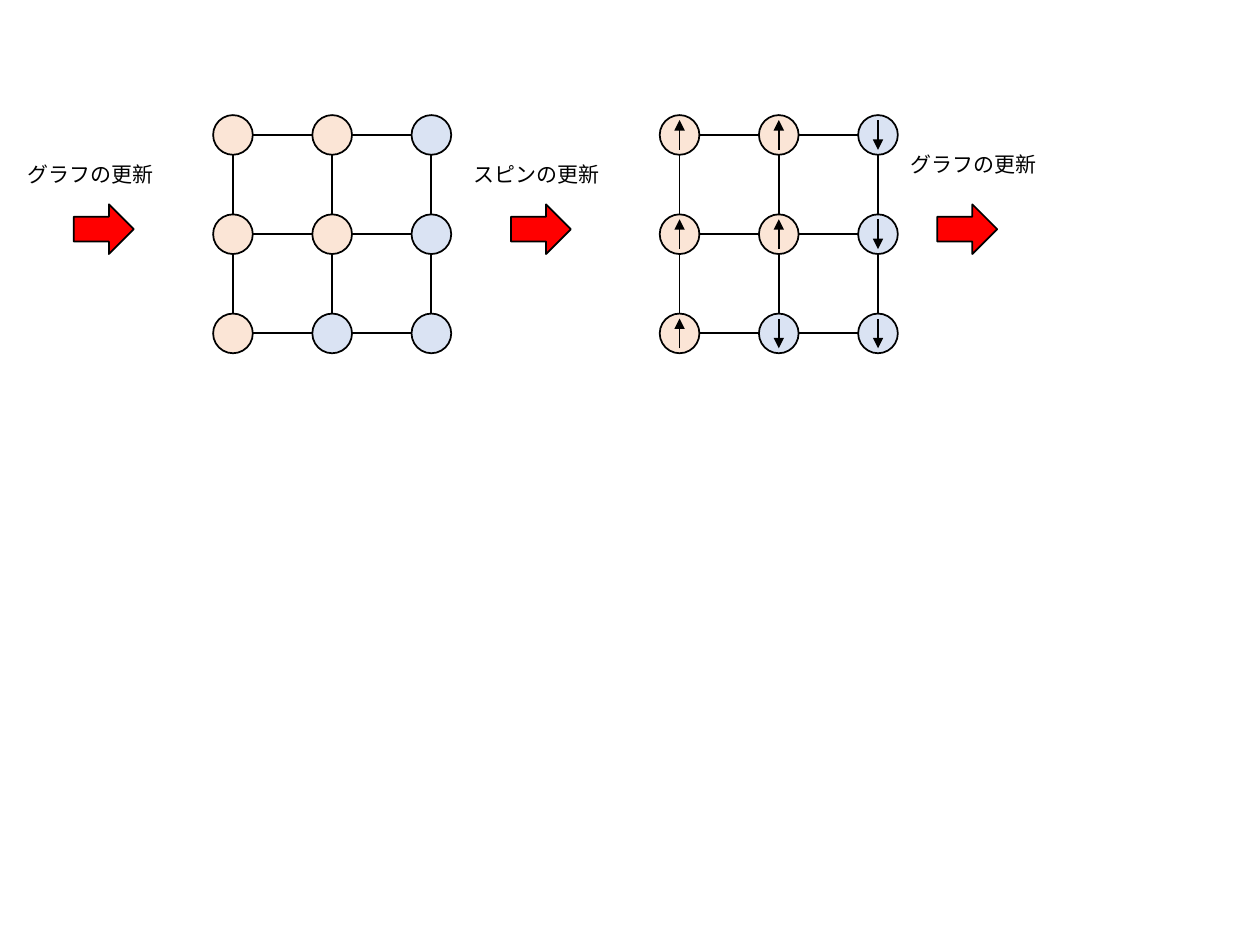
import pptx
import pptx.dml.color
import pptx.enum.shapes
import pptx.enum.text
import pptx.oxml.ns
import pptx.util
from lxml import etree

Pt = pptx.util.Pt
MSO_SHAPE = pptx.enum.shapes.MSO_SHAPE
COLORS = {"line": "000000", "text": "000000", "up": "FBE5D6", "down": "DAE3F3", "update": "FF0000"}
SPINS = [
    ["up", "up", "down"],
    ["up", "up", "down"],
    ["up", "down", "down"],
]
PITCH, DIAMETER, SPIN_LENGTH = 56.7, 22.68, 17
LATTICE_TOP = 65.8
LATTICE_LEFTS = {"graph": 121.8, "spins": 377}
UPDATES = [
    ("グラフの更新", 8.8, 88.6, 42.2),
    ("スピンの更新", 263.6, 88.6, 292),
    ("グラフの更新", 513.3, 82.8, 535.6),
]
ARROW_TOP, ARROW_WIDTH, ARROW_HEIGHT = 116.8, 34.2, 28.4
LABEL_WIDTH, LABEL_HEIGHT = 87.1, 21.8


def rgb(name):
    """Return the named colour."""
    return pptx.dml.color.RGBColor.from_string(COLORS[name])


def add_outlined(shapes, kind, left, top, width, height, fill=None):
    """Add a black-outlined preset shape, hollow unless a fill is named."""
    outlined = shapes.add_shape(kind, Pt(left), Pt(top), Pt(width), Pt(height))
    outlined.shadow.inherit = False
    outlined.line.color.rgb = rgb("line")
    outlined.line.width = Pt(1)
    if fill:
        outlined.fill.solid()
        outlined.fill.fore_color.rgb = rgb(fill)
    else:
        outlined.fill.background()


def add_spin(shapes, x, y, direction):
    """Add a vertical spin arrow centred on x, y."""
    half = SPIN_LENGTH / 2
    spin = shapes.add_connector(
        pptx.enum.shapes.MSO_CONNECTOR.STRAIGHT, Pt(x), Pt(y + half), Pt(x), Pt(y - half)
    )
    spin.line.color.rgb = rgb("line")
    spin.line.width = Pt(1)
    end = "a:tailEnd" if direction == "up" else "a:headEnd"
    etree.SubElement(spin.line._get_or_add_ln(), pptx.oxml.ns.qn(end), type="triangle")
    etree.SubElement(spin._element.spPr, pptx.oxml.ns.qn("a:effectLst"))


def add_lattice(slide, left, top, with_spins):
    """Draw the lattice of sites in the box that starts at left, top."""
    radius = DIAMETER / 2
    for column in range(len(SPINS[0]) - 1):
        for row in range(len(SPINS) - 1):
            add_outlined(
                slide.shapes, MSO_SHAPE.RECTANGLE,
                left + radius + column * PITCH, top + radius + row * PITCH, PITCH, PITCH,
            )
    for row, directions in enumerate(SPINS):
        for column, direction in enumerate(directions):
            x, y = left + column * PITCH, top + row * PITCH
            site = slide.shapes.add_group_shape().shapes if with_spins else slide.shapes
            add_outlined(site, MSO_SHAPE.OVAL, x, y, DIAMETER, DIAMETER, direction)
            if with_spins:
                add_spin(site, x + radius, y + radius, direction)


def add_update(slide, caption, left, top, arrow_left):
    """Add an update step: its caption and the block arrow below."""
    add_outlined(
        slide.shapes, MSO_SHAPE.RIGHT_ARROW,
        arrow_left, ARROW_TOP, ARROW_WIDTH, ARROW_HEIGHT, "update",
    )
    label = slide.shapes.add_textbox(Pt(left), Pt(top), Pt(LABEL_WIDTH), Pt(LABEL_HEIGHT))
    frame = label.text_frame
    frame.word_wrap = False
    frame.auto_size = pptx.enum.text.MSO_AUTO_SIZE.SHAPE_TO_FIT_TEXT
    wording = frame.paragraphs[0].add_run()
    wording.text = caption
    wording.font.color.rgb = rgb("text")
    for attribute, value in {"name": "Calibri", "size": Pt(12)}.items():
        setattr(wording.font, attribute, value)


def main():
    """Build the slide and save it."""
    deck = pptx.Presentation()
    deck.slide_width, deck.slide_height = Pt(720), Pt(540)
    slide = deck.slides.add_slide(deck.slide_layouts[6])
    for stage, left in LATTICE_LEFTS.items():
        add_lattice(slide, left, LATTICE_TOP, stage == "spins")
    for update in UPDATES:
        add_update(slide, *update)
    deck.save("out.pptx")


if __name__ == "__main__":
    main()
